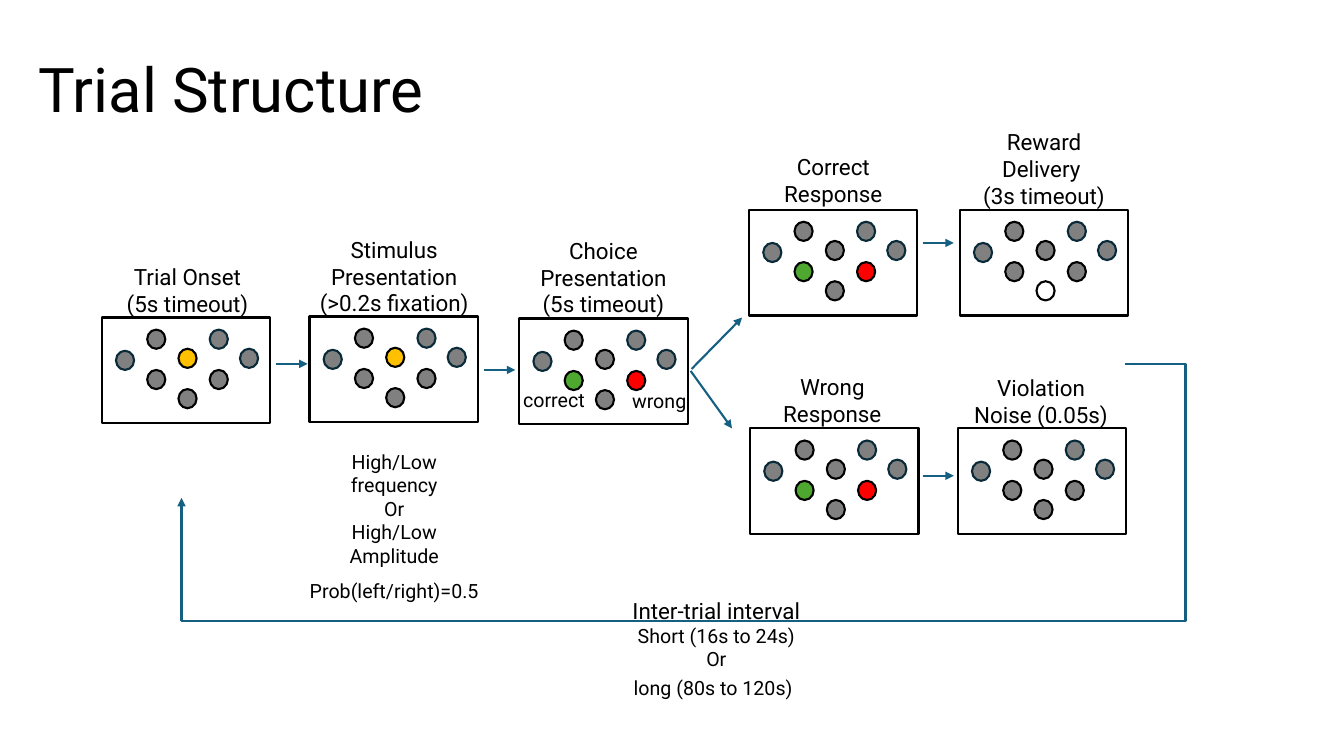
import pptx
import pptx.util
from lxml import etree
from pptx.dml.color import RGBColor
from pptx.enum.shapes import MSO_CONNECTOR, MSO_SHAPE
from pptx.enum.text import MSO_ANCHOR, MSO_AUTO_SIZE, PP_ALIGN
from pptx.oxml.ns import qn
from pptx.util import Inches, Pt

FONT = "Roboto"
COLORS = {
    "black": "000000", "white": "FFFFFF", "gray": "808080", "navy": "092A39",
    "amber": "FFC000", "green": "4EA72E", "red": "FF0000", "teal": "156082",
}

# Port name: offset from the panel's corner, outline colour
PORTS = {
    "upper left": (0.45, 0.12, "black"),
    "upper right": (1.07, 0.12, "navy"),
    "center": (0.76, 0.31, "black"),
    "far right": (1.37, 0.31, "navy"),
    "far left": (0.14, 0.33, "navy"),
    "lower left": (0.45, 0.52, "black"),
    "lower right": (1.07, 0.52, "black"),
    "bottom": (0.76, 0.71, "black"),
}
FIXATION = {"center": "amber"}
CHOICE = {"lower left": "green", "lower right": "red"}
REWARD = {"bottom": "white"}

# Panel: left, top, lit ports
PANELS = [
    (1.01, 3.15, FIXATION),
    (3.07, 3.14, FIXATION),
    (5.15, 3.16, CHOICE),
    (7.43, 2.08, CHOICE),
    (9.52, 2.08, REWARD),
    (7.44, 4.25, CHOICE),
    (9.5, 4.25, {}),
]

# Stage label: left, top, width, height, paragraphs
STAGE_LABELS = [
    (1.04, 2.56, 1.64, 0.64, ["Trial Onset", "(5s timeout)"]),
    (3.06, 2.29, 1.7, 0.91, ["Stimulus Presentation", "(>0.2s fixation)"]),
    (5.19, 2.3, 1.59, 0.94, ["Choice Presentation", "(5s timeout)"]),
    (7.5, 1.47, 1.53, 0.64, ["Correct Response"]),
    (9.5, 1.22, 1.71, 0.91, ["Reward Delivery ", "(3s timeout)"]),
    (7.49, 3.65, 1.53, 0.64, ["Wrong Response"]),
    (9.5, 3.66, 1.65, 0.64, ["Violation Noise (0.05s)"]),
]

# Arrow: start and end point
ARROWS = [
    ((2.74, 3.61), (3.05, 3.61)),
    ((4.8, 3.67), (5.11, 3.67)),
    ((6.86, 3.66), (7.36, 3.15)),
    ((6.85, 3.68), (7.26, 4.25)),
    ((9.15, 2.41), (9.46, 2.41)),
    ((9.15, 4.72), (9.46, 4.72)),
    ((1.8, 6.16), (1.8, 4.94)),
]


def color(name):
    return RGBColor.from_string(COLORS[name])


def add_run(paragraph, text, size=16):
    run = paragraph.add_run()
    run.text = text
    run.font.name = FONT
    run.font.size = Pt(size)
    run.font.color.rgb = color("black")


def write_text(frame, paragraphs, size=16, align=PP_ALIGN.CENTER, spacing=None):
    """Each paragraph is a string or a list of (text, size) runs."""
    for index, content in enumerate(paragraphs):
        paragraph = frame.add_paragraph() if index else frame.paragraphs[0]
        paragraph.alignment = align
        runs = [(content, size)] if isinstance(content, str) else content
        for text, run_size in runs:
            add_run(paragraph, text, run_size)
    if spacing:
        frame.paragraphs[-1].line_spacing = spacing


def add_label(slide, left, top, width, height, paragraphs, wrap=True, **text_format):
    box = slide.shapes.add_textbox(*map(Inches, (left, top, width, height)))
    box.text_frame.word_wrap = wrap
    write_text(box.text_frame, paragraphs, **text_format)


def add_outlined(slide, kind, left, top, width, height, fill, outline):
    shape = slide.shapes.add_shape(kind, *map(Inches, (left, top, width, height)))
    shape.shadow.inherit = False
    shape.fill.solid()
    shape.fill.fore_color.rgb = color(fill)
    shape.line.color.rgb = color(outline)
    shape.line.width = Pt(1.5)


def add_panel(slide, left, top, lit):
    add_outlined(slide, MSO_SHAPE.RECTANGLE, left, top, 1.67, 1.05, "white", "black")
    for port, (across, down, outline) in PORTS.items():
        add_outlined(slide, MSO_SHAPE.OVAL, left + across, top + down, 0.18, 0.19,
                     lit.get(port, "gray"), outline)


def add_line(slide, start, end, kind=MSO_CONNECTOR.STRAIGHT, arrow=True):
    connector = slide.shapes.add_connector(kind, *map(Inches, (*start, *end)))
    connector.line.color.rgb = color("teal")
    connector.line.width = Pt(1.5)
    properties = connector._element.spPr
    etree.SubElement(properties, qn("a:effectLst"))
    if arrow:
        etree.SubElement(properties.find(qn("a:ln")), qn("a:tailEnd"), type="triangle")
    return connector


def add_return_path(slide):
    connector = add_line(slide, (11.16, 3.61), (1.8, 6.16), MSO_CONNECTOR.ELBOW, arrow=False)
    geometry = connector._element.spPr.find(qn("a:prstGeom"))
    # A negative bend sends the line out to the right before it turns back
    etree.SubElement(geometry.find(qn("a:avLst")), qn("a:gd"),
                     name="adj1", fmla="val -6400")


def add_title(slide, text):
    title = slide.shapes.title
    title.left, title.top, title.width, title.height = map(Inches, (0.28, 0.46, 12.77, 0.91))
    frame = title.text_frame
    frame.auto_size = MSO_AUTO_SIZE.NONE
    frame.vertical_anchor = MSO_ANCHOR.MIDDLE
    write_text(frame, [text], size=44, align=PP_ALIGN.LEFT, spacing=0.9)


def main():
    presentation = pptx.Presentation()
    presentation.slide_width = Inches(13.33)
    presentation.slide_height = Inches(7.5)
    slide = presentation.slides.add_slide(presentation.slide_layouts[5])
    add_title(slide, "Trial Structure")

    # Trial stages
    for panel in PANELS:
        add_panel(slide, *panel)
    for label in STAGE_LABELS:
        add_label(slide, *label)

    # Choice ports and stimulus details
    add_label(slide, 5.09, 3.8, 0.81, 0.34, ["correct"],
              wrap=False, size=14, align=PP_ALIGN.LEFT)
    add_label(slide, 6.17, 3.81, 0.79, 0.34, ["wrong"],
              wrap=False, size=14, align=PP_ALIGN.LEFT)
    add_label(slide, 2.97, 4.41, 1.88, 1.6,
              ["High/Low frequency", "Or", "High/Low Amplitude", "Prob(left/right)=0.5"],
              size=14, spacing=1.5)

    # Flow between stages and back to the next trial
    for start, end in ARROWS:
        add_line(slide, start, end)
    add_return_path(slide)
    add_label(slide, 6.02, 5.87, 2.17, 1.14,
              [[("Inter-trial interval", 16)], "Short (16s to 24s)", "Or",
               [("long (80s to 120s)", 14), (" ", 18)]], size=14)

    presentation.save("out.pptx")


if __name__ == "__main__":
    main()
